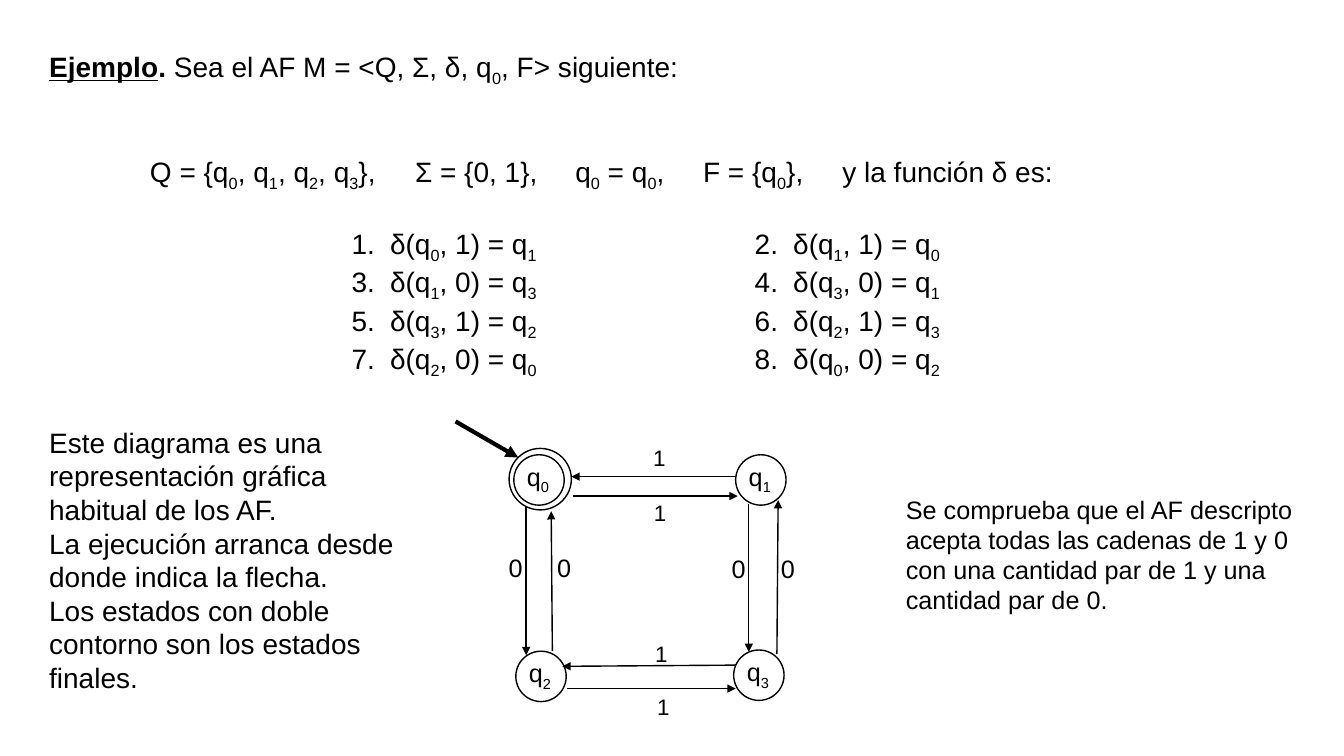
from dataclasses import dataclass

from lxml.etree import SubElement
from pptx import Presentation
from pptx.dml.color import RGBColor
from pptx.enum.shapes import MSO_CONNECTOR as Connector
from pptx.enum.shapes import MSO_SHAPE as ShapeKind
from pptx.enum.text import MSO_AUTO_SIZE as AutoSize
from pptx.oxml.ns import qn
from pptx.util import Cm, Pt

BLACK = RGBColor(0, 0, 0)
STATE_SIZE = 1.27


@dataclass
class State:
    name: str
    left: float
    top: float


@dataclass
class Arrow:
    start: tuple[float, float]
    end: tuple[float, float]
    symbol: str = ""
    symbol_at: tuple[float, float] = (0, 0)
    symbol_size: int = 18
    width: float = 1


STATES = [
    State("q_0", 12.95, 11.46),
    State("q_1", 18.54, 11.46),
    State("q_2", 13.0, 16.41),
    State("q_3", 18.49, 16.38),
]
ARROWS = [
    Arrow((11.48, 10.62), (13.06, 11.53), width=3),
    Arrow((14.45, 12.5), (18.59, 12.5), "1", (16.23, 12.45), 16),
    Arrow((18.54, 12.01), (14.4, 12.01), "1", (16.21, 11.07), 16),
    Arrow((14.3, 17.35), (18.54, 17.35), "1", (16.31, 17.35), 16),
    Arrow((18.54, 16.76), (14.17, 16.79), "1", (16.26, 16.0), 16),
    Arrow((13.92, 16.41), (13.89, 12.88), "0", (13.79, 13.79)),
    Arrow((13.26, 12.78), (13.26, 16.51), "0", (12.57, 13.79)),
    Arrow((19.58, 16.48), (19.61, 12.6), "0", (19.43, 13.82)),
    Arrow((18.87, 12.7), (18.87, 16.43), "0", (18.19, 13.82)),
]
# Each transition: origin state, symbol read, target state
TRANSITIONS = ["011", "110", "103", "301", "312", "213", "200", "002"]
DEFINITION_TABS = [2.54, 9.22, 13.26, 16.48, 19.99]
TRANSITION_TABS = [7.62, 8.59, 17.78, 18.75]
EXPLANATION = [
    "Este diagrama es una representación gráfica habitual de los AF.",
    "La ejecución arranca desde donde indica la flecha.",
    "Los estados con doble contorno son los estados finales.",
]
CONCLUSION = (
    "Se comprueba que el AF descripto acepta todas las cadenas de 1 y 0 "
    "con una cantidad par de 1 y una cantidad par de 0."
)


def add_run(paragraph, text: str, size: int, **formats):
    run = paragraph.add_run()
    run.text = text
    run.font.color.rgb = BLACK
    for name, value in {"name": "Arial", "size": Pt(size), **formats}.items():
        setattr(run.font, name, value)
    return run


def add_math(paragraph, text: str, size: int) -> None:
    """Write text in which the character after each underscore is a subscript."""
    first, *rest = text.split("_")
    add_run(paragraph, first, size)
    for part in rest:
        subscript = add_run(paragraph, part[0], size)
        subscript.font._element.set("baseline", "-25000")
        if part[1:]:
            add_run(paragraph, part[1:], size)


def set_tabs(paragraph, positions: list[float]) -> None:
    tab_list = SubElement(paragraph._p.get_or_add_pPr(), qn("a:tabLst"))
    for position in positions:
        SubElement(tab_list, qn("a:tab"), pos=str(Cm(position)), algn="l")


def add_text_box(slide, left: float, top: float, width: float, height: float,
                 lines: list[str], size: int, wrap: bool = True):
    box = slide.shapes.add_textbox(Cm(left), Cm(top), Cm(width), Cm(height))
    frame = box.text_frame
    frame.word_wrap = wrap
    frame.auto_size = AutoSize.SHAPE_TO_FIT_TEXT
    for index, line in enumerate(lines):
        paragraph = frame.add_paragraph() if index else frame.paragraphs[0]
        add_math(paragraph, line, size)
    return frame


def add_definition(slide) -> None:
    """Write the formal definition of the automaton and its transitions."""
    frame = add_text_box(slide, 0.99, 1.12, 31.55, 11.53, [], 20)
    heading = frame.paragraphs[0]
    add_run(heading, "Ejemplo", 20, bold=True, underline=True)
    add_run(heading, ". ", 20, bold=True)
    add_math(heading, "Sea el AF M = <Q, Ʃ, δ, q_0, F> siguiente:", 20)

    definition = frame.add_paragraph()
    set_tabs(definition, DEFINITION_TABS)
    definition.space_before = Pt(48)
    add_math(definition, "\tQ = {q_0, q_1, q_2, q_3},\tƩ = {0, 1},\tq_0 = q_0,"
             "\tF = {q_0},\ty la función δ es:", 20)

    for first in range(0, len(TRANSITIONS), 2):
        row = frame.add_paragraph()
        set_tabs(row, TRANSITION_TABS)
        if first == 0:
            row.space_before = Pt(24)
        for number, transition in enumerate(TRANSITIONS[first:first + 2], first + 1):
            origin, symbol, target = transition
            add_math(row, f"\t{number}.\tδ(q_{origin}, {symbol}) = q_{target}", 20)


def add_circle(slide, left: float, top: float, width: float, height: float) -> None:
    circle = slide.shapes.add_shape(
        ShapeKind.FLOWCHART_CONNECTOR, Cm(left), Cm(top), Cm(width), Cm(height))
    circle.shadow.inherit = False
    circle.fill.background()
    circle.line.color.rgb = BLACK
    circle.line.width = Pt(1)


def add_state(slide, state: State) -> None:
    add_text_box(slide, state.left + 0.08, state.top + 0.04, 1.2, 1.02,
                 [state.name], 18, wrap=False)
    add_circle(slide, state.left, state.top, STATE_SIZE, STATE_SIZE)


def add_arrow(slide, arrow: Arrow) -> None:
    connector = slide.shapes.add_connector(
        Connector.STRAIGHT, *map(Cm, arrow.start + arrow.end))
    connector.line.color.rgb = BLACK
    connector.line.width = Pt(arrow.width)
    SubElement(connector.line._get_or_add_ln(), qn("a:tailEnd"), type="triangle")
    SubElement(connector._element.spPr, qn("a:effectLst"))
    if arrow.symbol:
        add_text_box(slide, *arrow.symbol_at, 0.85, 1.0,
                     [arrow.symbol], arrow.symbol_size, wrap=False)


def main() -> None:
    presentation = Presentation()
    presentation.slide_width = Cm(33.87)
    presentation.slide_height = Cm(19.05)
    slide = presentation.slides.add_slide(presentation.slide_layouts[6])

    add_definition(slide)
    add_text_box(slide, 0.99, 10.59, 10.03, 7.09, EXPLANATION, 20)
    add_text_box(slide, 22.58, 12.32, 10.8, 3.33, [CONCLUSION], 18)
    for state in STATES:
        add_state(slide, state)
    add_circle(slide, 12.83, 11.3, 1.57, 1.55)
    for arrow in ARROWS:
        add_arrow(slide, arrow)

    presentation.save("out.pptx")


if __name__ == "__main__":
    main()
